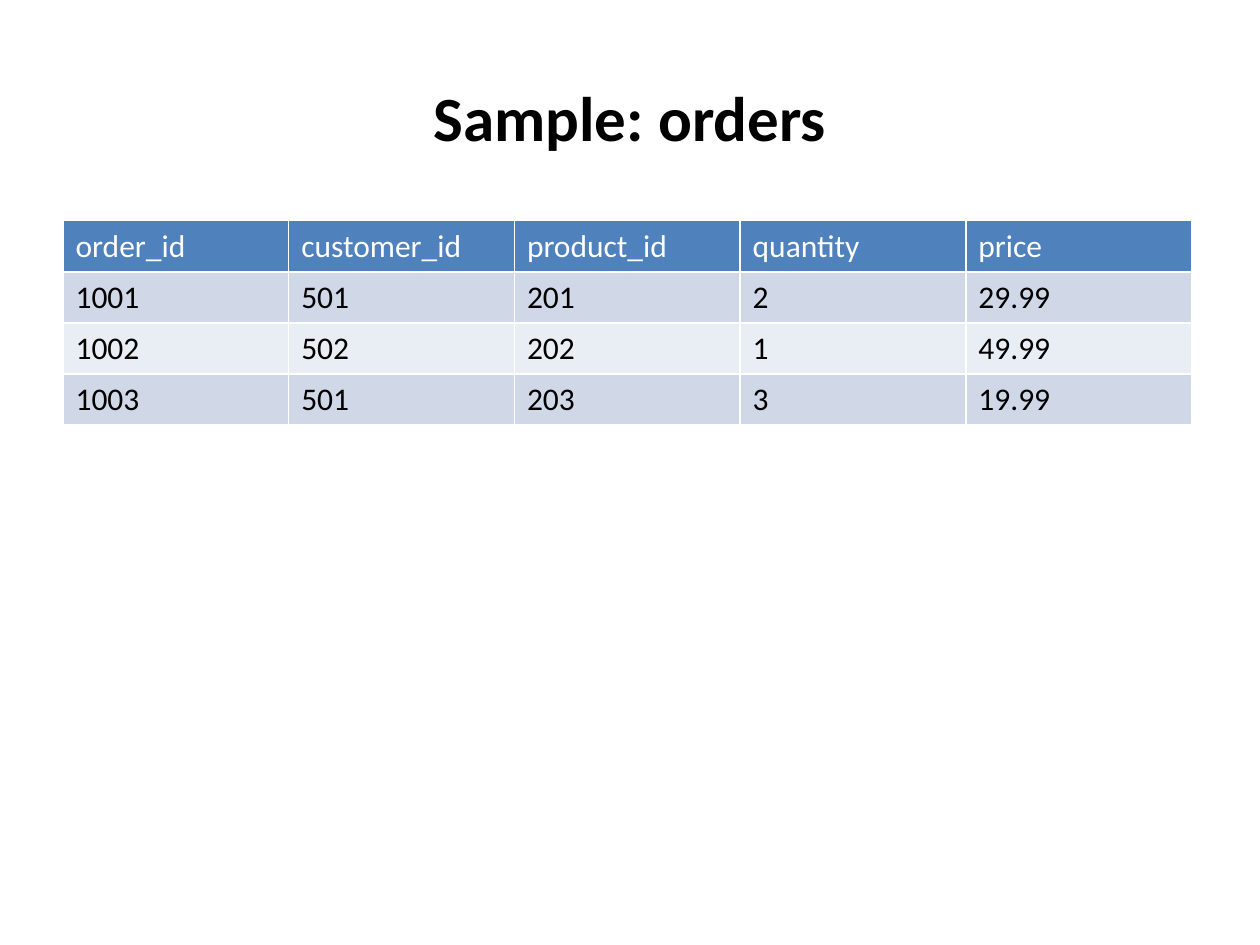
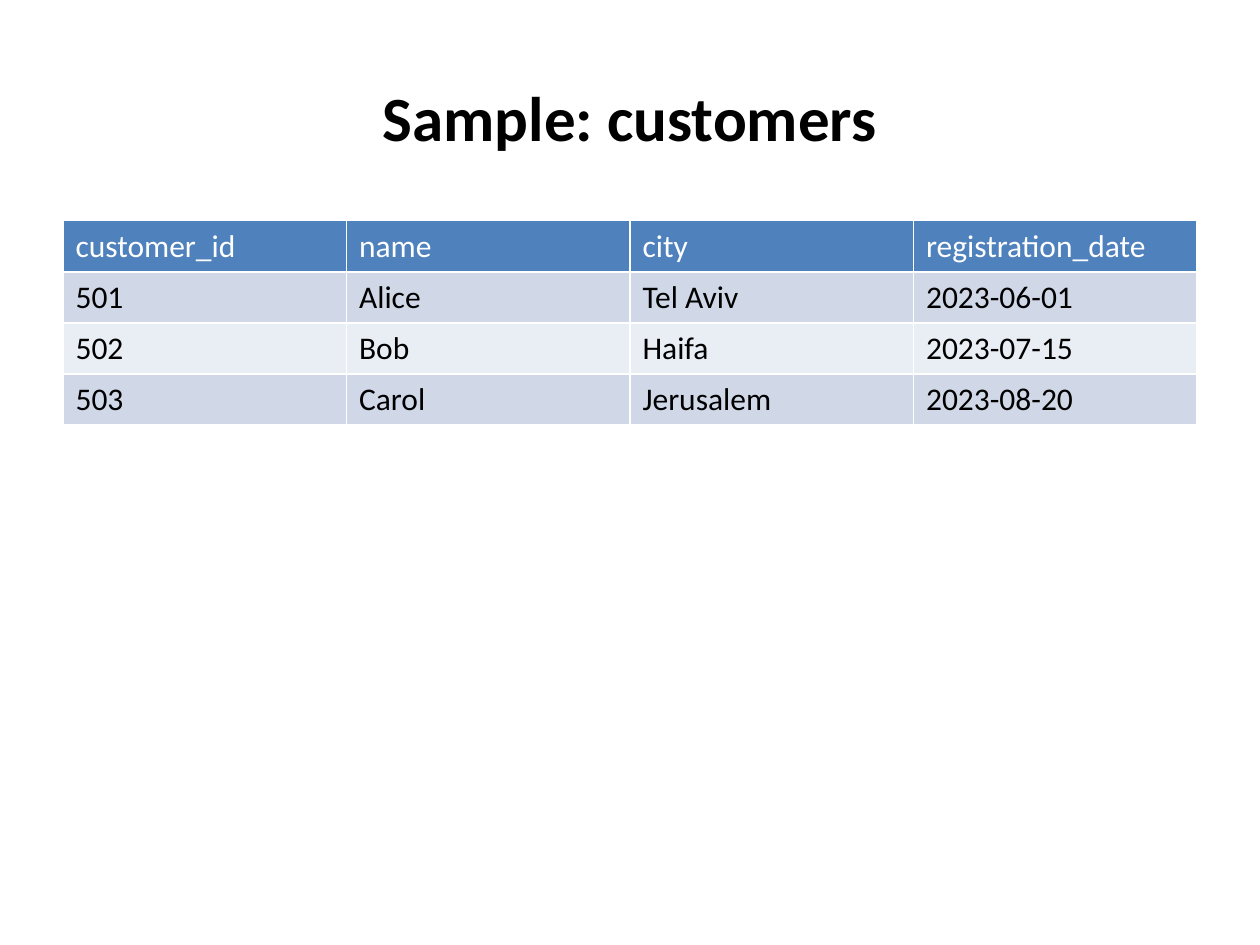
import lxml.etree
import pptx
import pptx.dml.color
import pptx.enum.text
import pptx.oxml.ns
import pptx.util

Cm = pptx.util.Cm
Pt = pptx.util.Pt

COLORS = {
    "text": "000000",
    "white": "FFFFFF",
    "header": "4F81BD",
    "band_dark": "D0D8E8",
    "band_light": "E9EDF4",
}
FONT = "Calibri"
TITLE_BOX = (1.27, 0.76, 22.86, 3.18)
TABLE_LEFT, TABLE_TOP = 1.27, 4.45
ROW_HEIGHT = 1.03

SAMPLES = [
    ("Sample: orders", 22.75, [
        ("order_id", "customer_id", "product_id", "quantity", "price"),
        ("1001", "501", "201", "2", "29.99"),
        ("1002", "502", "202", "1", "49.99"),
        ("1003", "501", "203", "3", "19.99"),
    ]),
    ("Sample: customers", 22.86, [
        ("customer_id", "name", "city", "registration_date"),
        ("501", "Alice", "Tel Aviv", "2023-06-01"),
        ("502", "Bob", "Haifa", "2023-07-15"),
        ("503", "Carol", "Jerusalem", "2023-08-20"),
    ]),
]


def rgb(name):
    return pptx.dml.color.RGBColor.from_string(COLORS[name])


def add_run(paragraph, text, size, color, bold=False):
    run = paragraph.add_run()
    run.text = text
    run.font.name = FONT
    run.font.size = Pt(size)
    run.font.bold = bold
    run.font.color.rgb = rgb(color)


def add_title(slide, text, box):
    title = slide.shapes.add_textbox(*map(Cm, box))
    frame = title.text_frame
    frame.word_wrap = True
    frame.vertical_anchor = pptx.enum.text.MSO_ANCHOR.MIDDLE
    paragraph = frame.paragraphs[0]
    paragraph.alignment = pptx.enum.text.PP_ALIGN.CENTER
    add_run(paragraph, text, 36, "text", bold=True)


def add_borders(cell, color, width):
    qn = pptx.oxml.ns.qn
    properties = cell._tc.get_or_add_tcPr()
    for side in ("a:lnL", "a:lnR", "a:lnT", "a:lnB"):
        line = lxml.etree.SubElement(properties, qn(side), w=str(Pt(width)))
        fill = lxml.etree.SubElement(line, qn("a:solidFill"))
        lxml.etree.SubElement(fill, qn("a:srgbClr"), val=COLORS[color])


def row_colors(index):
    if index == 0:
        return "header", "white"
    return ("band_dark" if index % 2 else "band_light"), "text"


def add_sample_table(slide, records, box):
    left, top, width, height = map(Cm, box)
    table = slide.shapes.add_table(
        len(records), len(records[0]), left, top, width, height).table
    table.first_row = False
    table.horz_banding = False
    for row_index, record in enumerate(records):
        fill_color, text_color = row_colors(row_index)
        for column_index, value in enumerate(record):
            cell = table.cell(row_index, column_index)
            add_borders(cell, "white", 1)
            cell.fill.solid()
            cell.fill.fore_color.rgb = rgb(fill_color)
            add_run(cell.text_frame.paragraphs[0], value, 18, text_color)


def add_sample_slide(deck, title, table_width, records):
    slide = deck.slides.add_slide(deck.slide_layouts[6])
    slide.background.fill.solid()
    slide.background.fill.fore_color.rgb = rgb("white")
    add_title(slide, title, TITLE_BOX)
    table_box = (TABLE_LEFT, TABLE_TOP, table_width, ROW_HEIGHT * len(records))
    add_sample_table(slide, records, table_box)


def main():
    deck = pptx.Presentation()
    deck.slide_width, deck.slide_height = Cm(25.4), Cm(19.05)
    for sample in SAMPLES:
        add_sample_slide(deck, *sample)
    deck.save("out.pptx")


if __name__ == "__main__":
    main()
